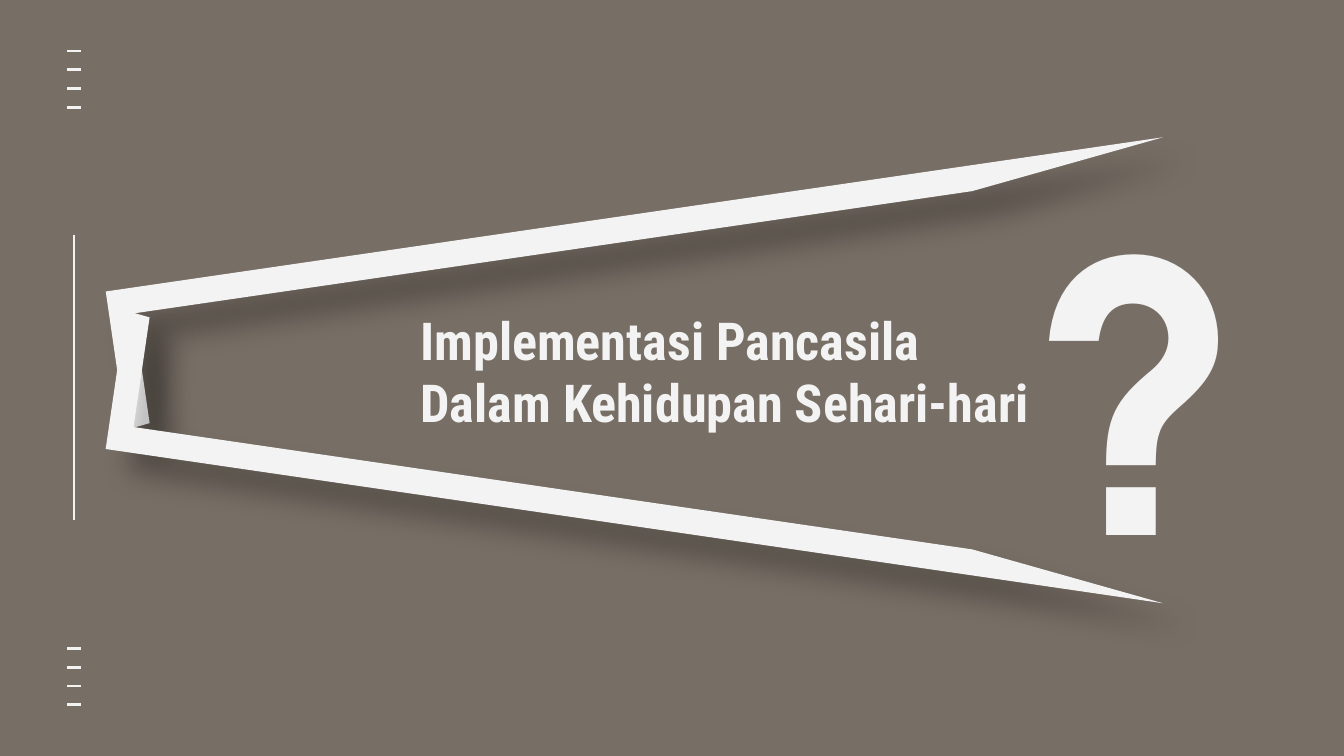
"""Build a question slide framed by two opening half frames."""
from typing import NamedTuple

from lxml.etree import SubElement
from pptx import Presentation
from pptx.dml.color import RGBColor
from pptx.enum.shapes import MSO_CONNECTOR as Conn, MSO_SHAPE as Shape
from pptx.enum.text import MSO_ANCHOR as Anchor, PP_ALIGN as Align
from pptx.oxml.ns import qn
from pptx.util import Inches, Pt

WIDTH = 10
HEIGHT = WIDTH * 9 / 16
TICKS, TICK_GAP = 4, 0.14
COLORS = {"background": "776E65", "light": "F3F3F3", "shadow": "000000"}


class Box(NamedTuple):
    left: float
    top: float
    width: float
    height: float


class Line(NamedTuple):
    x1: float
    y1: float
    x2: float
    y2: float


class Frame(NamedTuple):
    box: Box
    rotation: float
    flipped: bool


def color(name: str) -> RGBColor:
    return RGBColor.from_string(COLORS[name])


def add_line(s, line: Line) -> None:
    c = s.shapes.add_connector(Conn.STRAIGHT, *map(Inches, line))
    c.line.color.rgb = color("light")
    c.line.width = Pt(1.5)
    SubElement(c._element.spPr, qn("a:effectLst"))


def add_shadow(sp) -> None:
    sp.shadow.inherit = False
    effects = sp._element.spPr.find(qn("a:effectLst"))
    shadow = SubElement(effects, qn("a:outerShdw"), blurRad=str(Pt(15)), dist=str(Pt(18)),
                        dir=str(45 * 60000), algn="bl", rotWithShape="0")
    tint = SubElement(shadow, qn("a:srgbClr"), val=COLORS["shadow"])
    SubElement(tint, qn("a:alpha"), val="30000")


def add_frame(s, frame: Frame) -> None:
    sp = s.shapes.add_shape(Shape.HALF_FRAME, *map(Inches, frame.box))
    sp.adjustments[0], sp.adjustments[1] = 0.184, 0.175
    sp.rotation = frame.rotation
    if frame.flipped:
        sp._element.spPr.xfrm.set("flipV", "1")
    sp.fill.solid()
    sp.fill.fore_color.rgb = color("light")
    sp.line.fill.background()
    add_shadow(sp)


def add_text(s, text: str, box: Box, *, size: float, font: str, align=Align.LEFT) -> None:
    tf = s.shapes.add_textbox(*map(Inches, box)).text_frame
    tf.word_wrap = True
    tf.vertical_anchor = Anchor.TOP
    tf.margin_left = tf.margin_right = tf.margin_top = tf.margin_bottom = Inches(0.1)
    p = tf.paragraphs[0]
    p.alignment = align
    r = p.add_run()
    r.text = text
    r.font.size, r.font.name, r.font.bold = Pt(size), font, True
    r.font.color.rgb = color("light")


def main() -> None:
    prs = Presentation()
    prs.slide_width, prs.slide_height = Inches(WIDTH), Inches(HEIGHT)
    s = prs.slides.add_slide(prs.slide_layouts[6])
    s.background.fill.solid()
    s.background.fill.fore_color.rgb = color("background")

    add_text(s, "Implementasi Pancasila Dalam Kehidupan Sehari-hari",
             Box(3.03, 2.19, 4.9, 1.81), size=28, font="Roboto Condensed")

    margin = 0.38
    for start in (HEIGHT - margin - (TICKS - 1) * TICK_GAP, margin):
        for i in range(TICKS):
            y = start + i * TICK_GAP
            add_line(s, Line(0.5, y, 0.6, y))
    add_line(s, Line(0.55, 3.87, 0.55, 1.75))

    tilt = 8.3
    for top, rotation, flipped in ((1.59, 360 - tilt, False), (2.88, tilt, True)):
        add_frame(s, Frame(Box(0.82, top, 7.95, 1.04), rotation, flipped))

    add_text(s, "?", Box(7.62, 1.11, 1.56, 2.41), size=200,
             font="TeX Gyre Adventor", align=Align.RIGHT)
    prs.save("out.pptx")


if __name__ == "__main__":
    main()
